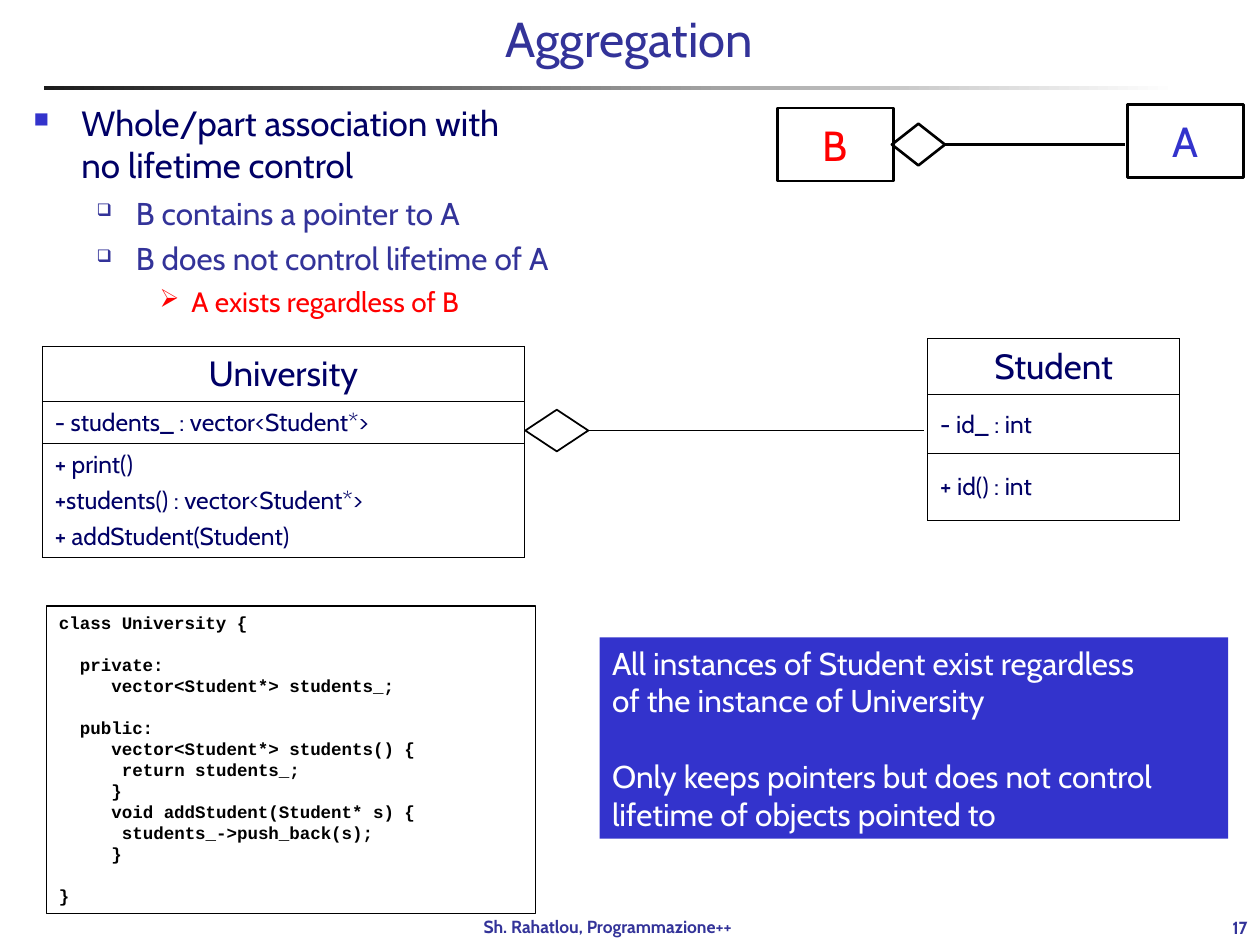
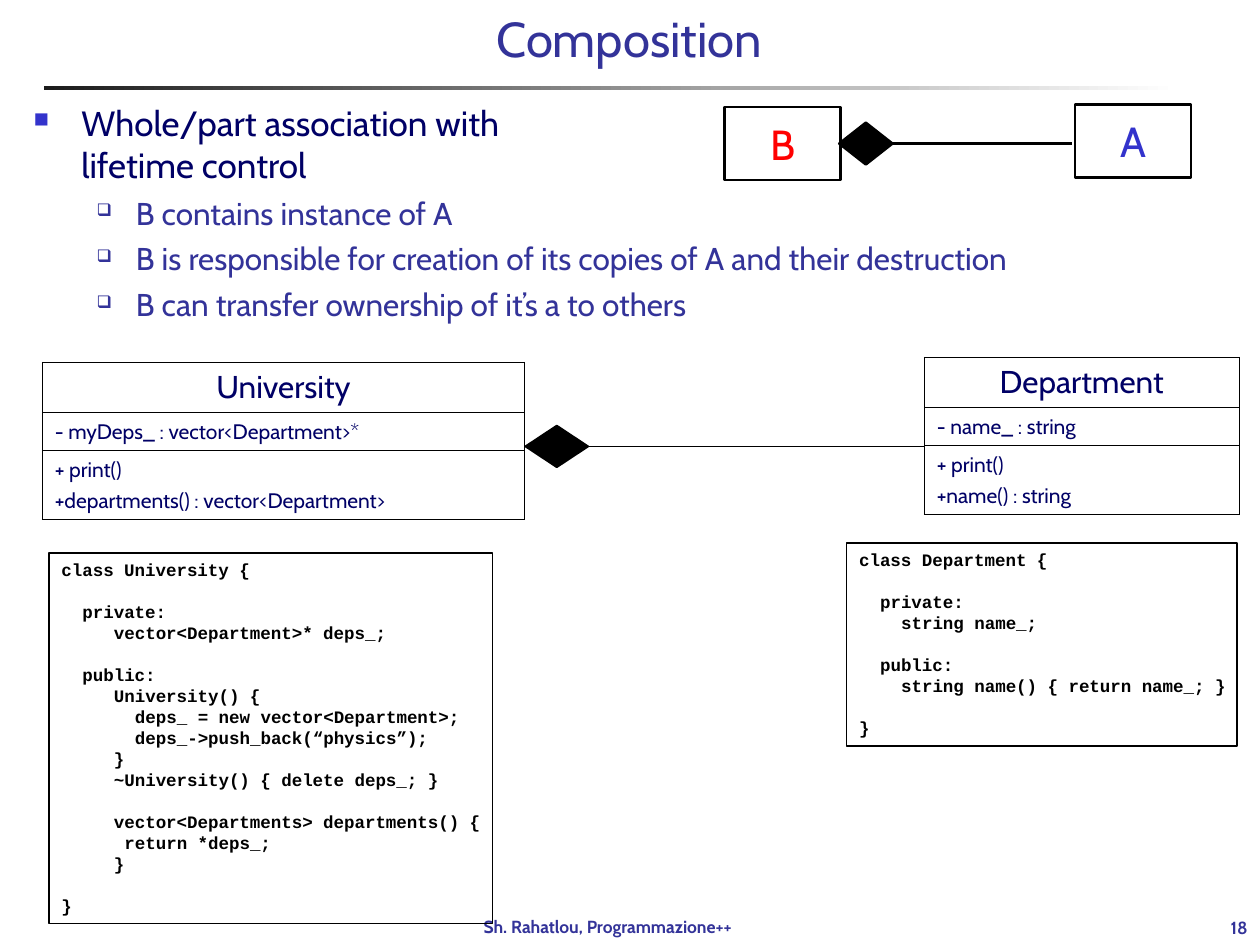
from lxml.etree import SubElement
from pptx import Presentation
from pptx.dml.color import RGBColor
from pptx.enum.shapes import MSO_CONNECTOR, MSO_SHAPE
from pptx.enum.text import MSO_ANCHOR, PP_ALIGN
from pptx.oxml.ns import qn
from pptx.util import Cm, Pt

NAVY, INDIGO, BLUE = "000066", "333399", "3333CC"
RED, BLACK, WHITE = "FF0000", "000000", "FFFFFF"
SANS, MONO = "Cabin", "Courier New"

# Level: left margin, hanging indent (cm), space before, size, text colour, bullet, its colour, its size
LEVELS = [
    (0.96, 0.96, 5, 20, NAVY, "■", BLUE, 60),
    (2.06, 0.79, 4.5, 18, INDIGO, "❑", INDIGO, 55),
    (3.18, 0.64, 4, 16, RED, "➢", RED, 90),
]

CODE_SIZE, CODE_PITCH, CHAR_WIDTH = 10, 12, 6
BOX_W, BOX_H = 2.34, 1.47
GEM_H = 0.84

UNI_SHARED = """class University {

  private:
     vector<Student*> students_;

  public:
     vector<Student*> students() {
      return students_;
     }
     void addStudent(Student* s) {
      students_->push_back(s);
     }

}"""

UNI_OWNER = """class University {

  private:
     vector<Department>* deps_;

  public:
     University() {
       deps_ = new vector<Department>;
       deps_->push_back(“physics”);
     }
     ~University() { delete deps_; }

     vector<Departments> departments() {
      return *deps_;
     }

}"""

DEPARTMENT = """class Department {

  private:
    string name_;

  public:
    string name() { return name_; }

}"""


def color(code):
    return RGBColor.from_string(code)


def write(frame, text, size=18, ink=NAVY, font=SANS, bold=False,
          align=PP_ALIGN.LEFT, before=0, pitch=None):
    """Add one paragraph, filling the empty first one if there is one."""
    para = frame.paragraphs[0]
    if para.runs:
        para = frame.add_paragraph()
    para.text = text
    para.alignment = align
    para.space_before = Pt(before)
    if pitch:
        para.line_spacing = Pt(pitch)
    for run in para.runs:
        run.font.size = Pt(size)
        run.font.name = font
        run.font.bold = bold
        run.font.color.rgb = color(ink)
    return para


def indent(para, left, hang=0):
    props = para._p.get_or_add_pPr()
    props.set("marL", str(int(left)))
    props.set("indent", str(-int(hang)))
    return props


def label(slide, left, top, width, height):
    """Add an empty text box and return its text frame."""
    frame = slide.shapes.add_textbox(Cm(left), Cm(top), Cm(width), Cm(height)).text_frame
    frame.word_wrap = True
    return frame


def block(slide, kind, left, top, width, height, fill=None, line=None, weight=0.75):
    shape = slide.shapes.add_shape(kind, Cm(left), Cm(top), Cm(width), Cm(height))
    shape.shadow.inherit = False
    if fill:
        shape.fill.solid()
        shape.fill.fore_color.rgb = color(fill)
    else:
        shape.fill.background()
    if line:
        shape.line.color.rgb = color(line)
        shape.line.width = Pt(weight)
    else:
        shape.line.fill.background()
    return shape


def page(deck, title, number):
    """Add a slide with its band, footer, title and number."""
    slide = deck.slides.add_slide(deck.slide_layouts[6])
    band = block(slide, MSO_SHAPE.RECTANGLE, 0.89, 1.73, 22.86, 0.08)
    band.fill.gradient()
    band.fill.gradient_angle = 0
    for stop, shade in zip(band.fill.gradient_stops, ("1C1C1C", WHITE)):
        stop.color.rgb = color(shade)
    small = dict(size=10, ink=INDIGO, bold=True)
    write(label(slide, 9.5, 18.34, 6.4, 0.69), "Sh. Rahatlou, Programmazione++", **small)
    write(label(slide, 22.66, 18.36, 2.74, 0.69), str(number), align=PP_ALIGN.RIGHT, **small)
    write(label(slide, 1.47, 0.05, 22.43, 1.7), title, size=28, ink=INDIGO,
          align=PP_ALIGN.CENTER)
    return slide


def points(slide, items):
    """Add the bulleted list from (level, text) pairs."""
    frame = label(slide, 0.43, 1.93, 24.46, 6.3)
    for level, text in items:
        left, hang, before, size, ink, mark, tint, scale = LEVELS[level]
        para = write(frame, text, size=size, ink=ink, before=before)
        para.level = level
        props = indent(para, Cm(left), Cm(hang))
        SubElement(SubElement(props, qn("a:buClr")), qn("a:srgbClr"), val=tint)
        SubElement(props, qn("a:buSzPct"), val=str(scale * 1000))
        SubElement(props, qn("a:buChar"), char=mark)


def link(slide, left, top, width, end, fill, weight, rim):
    """Add a diamond and the line from its right tip to x = end."""
    gem = block(slide, MSO_SHAPE.DIAMOND, left, top, width, GEM_H, fill, BLACK, rim)
    mid = Cm(top + GEM_H / 2)
    wire = slide.shapes.add_connector(MSO_CONNECTOR.STRAIGHT, Cm(left + width), mid, Cm(end), mid)
    wire.begin_connect(gem, 3)
    wire.line.color.rgb = color(BLACK)
    wire.line.width = Pt(weight)
    SubElement(wire._element.spPr, qn("a:effectLst"))


def pair(slide, left, top, fill):
    """Add the small B to A diagram."""
    link(slide, left + BOX_W - 0.03, top + (BOX_H - GEM_H) / 2, 1.07, left + 7, fill, 1.5, 1.5)
    for name, ink, x, y in (("B", RED, left, top), ("A", BLUE, left + 7.06, 2.11)):
        box = block(slide, MSO_SHAPE.RECTANGLE, x, y, BOX_W, BOX_H, line=BLACK, weight=1.5)
        write(box.text_frame, name, size=24, ink=ink, align=PP_ALIGN.CENTER)


def border(cell):
    props = cell._tc.get_or_add_tcPr()
    for side in ("L", "R", "T", "B"):
        edge = SubElement(props, qn("a:ln" + side), w=str(int(Pt(0.45))))
        SubElement(SubElement(edge, qn("a:solidFill")), qn("a:srgbClr"), val=BLACK)


def entity(slide, left, top, width, heights, name, fields, methods, sizes):
    """Add a UML class as a table of name, fields and methods."""
    grid = slide.shapes.add_table(3, 1, Cm(left), Cm(top), Cm(width), Cm(sum(heights))).table
    grid.first_row = grid.horz_banding = False
    head, body = sizes
    parts = [([name], head, PP_ALIGN.CENTER),
             (fields, body, PP_ALIGN.LEFT),
             (methods, body, PP_ALIGN.LEFT)]
    for row, (height, (lines, size, align)) in enumerate(zip(heights, parts)):
        grid.rows[row].height = Cm(height)
        cell = grid.cell(row, 0)
        border(cell)
        cell.fill.background()
        cell.vertical_anchor = MSO_ANCHOR.MIDDLE
        for line in lines:
            write(cell.text_frame, line, size=size, align=align, before=size / 4)


def code(slide, left, top, width, height, source):
    """Add a listing; leading spaces become indents, blank lines become spacing."""
    frame = block(slide, MSO_SHAPE.RECTANGLE, left, top, width, height, line=BLACK).text_frame
    frame.vertical_anchor = MSO_ANCHOR.TOP
    frame.word_wrap = True
    frame.margin_right = 0
    gap = 0
    for line in source.splitlines():
        text = line.lstrip()
        if not text:
            gap = CODE_PITCH
            continue
        para = write(frame, text, size=CODE_SIZE, ink=BLACK, font=MONO, bold=True,
                     before=gap, pitch=CODE_PITCH)
        indent(para, Pt(CHAR_WIDTH * (len(line) - len(text))))
        gap = 0


def note(slide, left, top, width, height, paras):
    frame = block(slide, MSO_SHAPE.RECTANGLE, left, top, width, height, fill=BLUE).text_frame
    frame.vertical_anchor = MSO_ANCHOR.TOP
    frame.word_wrap = True
    for spot, text in enumerate(paras):
        write(frame, text, ink=WHITE, before=21.6 if spot else 0)


def shared(deck):
    slide = page(deck, "Aggregation", 17)
    points(slide, [
        (0, "Whole/part association with\vno lifetime control"),
        (1, "B contains a pointer to A"),
        (1, "B does not control lifetime of A"),
        (2, "A exists regardless of B"),
    ])
    pair(slide, 15.67, 2.18, None)
    code(slide, 0.94, 12.22, 9.86, 6.2, UNI_SHARED)
    sizes = (20, 14)
    entity(slide, 0.85, 6.98, 9.73, (1.11, 0.85, 2.29), "University",
           ["- students_ : vector<Student*>"],
           ["+ print()", "+students() : vector<Student*>", "+ addStudent(Student)"], sizes)
    link(slide, 10.59, 8.26, 1.27, 18.62, None, 0.75, 1)
    entity(slide, 18.7, 6.83, 5.08, (1.13, 1.19, 1.34), "Student",
           ["- id_ : int"], ["+ id() : int"], sizes)
    note(slide, 12.09, 12.85, 12.67, 4.06, [
        "All instances of Student exist regardless\vof the instance of University",
        "Only keeps pointers but does not control\vlifetime of objects pointed to",
    ])


def owned(deck):
    slide = page(deck, "Composition", 18)
    points(slide, [
        (0, "Whole/part association with\vlifetime control"),
        (1, "B contains instance of A"),
        (1, "B is responsible for creation of its copies of A and their destruction"),
        (1, "B can transfer ownership of it’s a to others"),
    ])
    code(slide, 17.07, 10.95, 7.87, 4.09, DEPARTMENT)
    code(slide, 0.99, 11.15, 8.94, 7.47, UNI_OWNER)
    sizes, rows = (18, 12), (1.02, 0.76, 1.37)
    entity(slide, 18.63, 7.2, 6.35, rows, "Department",
           ["- name_ : string"], ["+ print()", "+name() : string"], sizes)
    entity(slide, 0.85, 7.3, 9.73, rows, "University",
           ["- myDeps_ : vector<Department>*"],
           ["+ print()", "+departments() : vector<Department>"], sizes)
    link(slide, 10.59, 8.58, 1.27, 18.62, BLACK, 0.75, 1)
    pair(slide, 14.61, 2.16, BLACK)


def main():
    deck = Presentation()
    deck.slide_width, deck.slide_height = Cm(25.4), Cm(19.05)
    shared(deck)
    owned(deck)
    deck.save("out.pptx")


if __name__ == "__main__":
    main()
